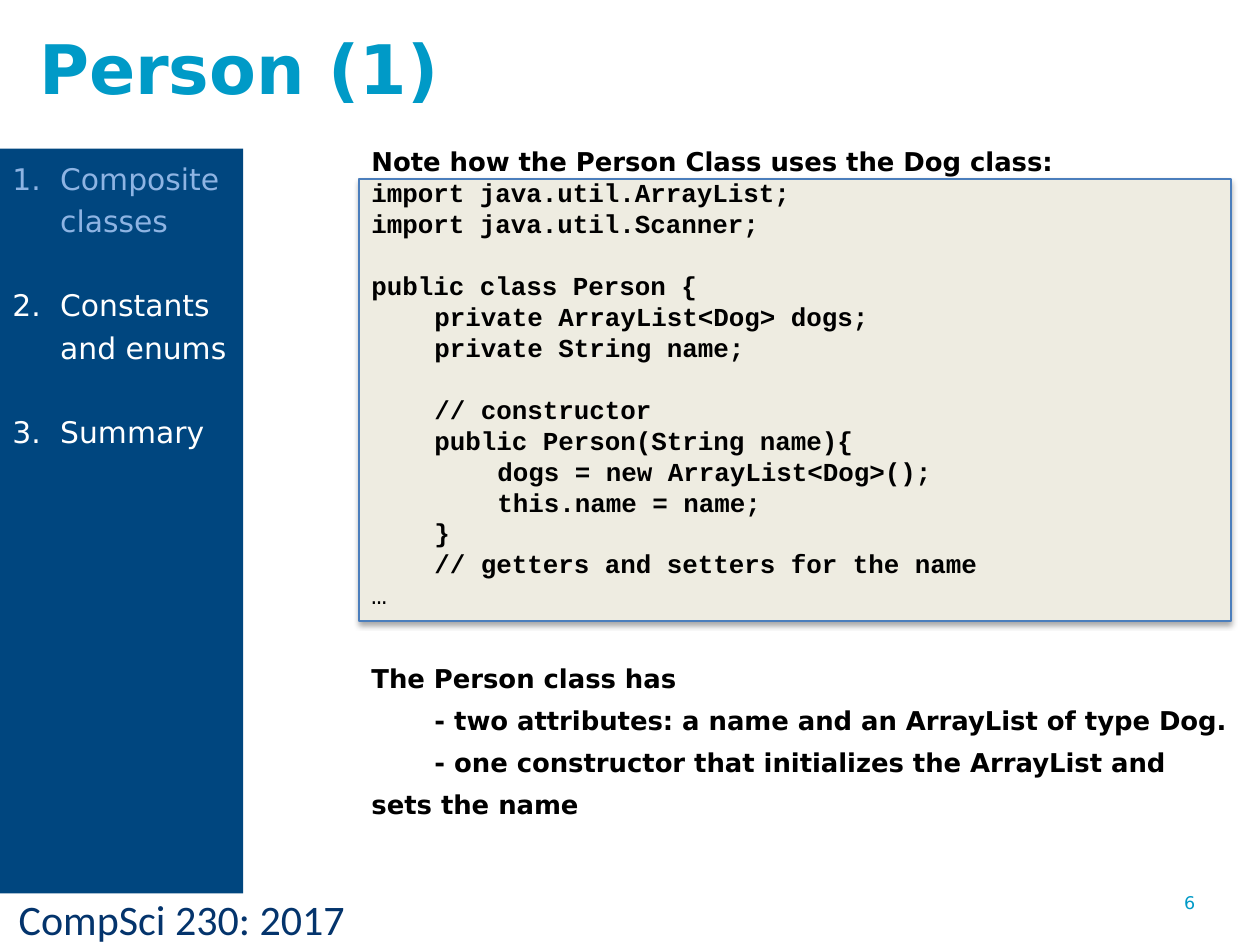
from dataclasses import dataclass

import lxml.etree
import pptx
import pptx.dml.color
import pptx.enum.shapes
import pptx.enum.text
import pptx.oxml
import pptx.oxml.ns
import pptx.util

RGBColor = pptx.dml.color.RGBColor
CYAN = RGBColor(0x00, 0x9A, 0xC7)
NAVY = RGBColor(0x04, 0x34, 0x6C)
SIDEBAR_BLUE = RGBColor(0x00, 0x46, 0x7F)
CURRENT_BLUE = RGBColor(0x8E, 0xB4, 0xE3)
PANEL_FILL = RGBColor(0xEE, 0xEC, 0xE1)
PANEL_LINE = RGBColor(0x4B, 0x7E, 0xBC)
BLACK = RGBColor(0, 0, 0)
WHITE = RGBColor(255, 255, 255)

SANS, MONO = "DejaVu Sans", "Courier New"
CELL = pptx.util.Inches(0.1)  # the slide is a grid of 100 columns by 75 rows
COLUMNS, ROWS = 100, 75
TAB = pptx.util.Inches(0.5)
NUMBER_INDENT = pptx.util.Inches(0.38)
LINE, CODE_LINE = 24, 17.7  # line pitch in points


@dataclass(frozen=True)
class Box:
    """Place on the grid, in columns and rows."""
    col: float
    row: float
    cols: float
    rows: float

    def emu(self) -> list[int]:
        return [round(n * CELL) for n in (self.col, self.row, self.cols, self.rows)]


@dataclass(frozen=True)
class Style:
    size: float
    color: RGBColor
    font: str = SANS
    bold: bool = False


@dataclass(frozen=True)
class Line:
    text: str
    style: Style
    pitch: float | None = None
    gap: float = 0
    margin: int = 0
    indent: int = 0
    numbered: bool = False


PROSE = Style(14.8, BLACK, bold=True)
CODE = Style(14.8, BLACK, MONO, True)
CODE_PLAIN = Style(14.8, BLACK, MONO)


def code(text: str, level: int = 0, gap: float = 0, style: Style = CODE) -> Line:
    return Line(text, style, CODE_LINE, gap, margin=level * TAB)


def prose(text: str, gap: float = 0, indent: int = 0) -> Line:
    return Line(text, PROSE, LINE, gap, indent=indent)


def topic(text: str, color: RGBColor, gap: float = LINE) -> Line:
    return Line(text, Style(17, color), LINE, gap, NUMBER_INDENT, -NUMBER_INDENT, True)


BODY = [
    prose("Note how the Person Class uses the Dog class:"),
    code("import java.util.ArrayList;"),
    code("import java.util.Scanner;"),
    code("public class Person {", gap=CODE_LINE),
    code("private ArrayList<Dog> dogs;", 1),
    code("private String name;", 1),
    code("// constructor", 1, gap=CODE_LINE),
    code("public Person(String name){", 1),
    code("dogs = new ArrayList<Dog>();", 2),
    code("this.name = name;", 2),
    code("}", 1),
    code("// getters and setters for the name", 1),
    code("…", style=CODE_PLAIN),
    prose("The Person class has", gap=LINE),
    prose("- two attributes: a name and an ArrayList of type Dog.", indent=TAB),
    prose("- one constructor that initializes the ArrayList and sets the name", indent=TAB),
]
TOPICS = [
    topic("Composite classes", CURRENT_BLUE, gap=0),
    topic("Constants and enums", WHITE),
    topic("Summary", WHITE),
]


def write(s, lines: list[Line], anchor=pptx.enum.text.MSO_ANCHOR.TOP) -> None:
    tf = s.text_frame
    tf.word_wrap = True
    tf.auto_size = pptx.enum.text.MSO_AUTO_SIZE.NONE
    tf.vertical_anchor = anchor
    for i, line in enumerate(lines):
        p = tf.add_paragraph() if i else tf.paragraphs[0]
        p.alignment = pptx.enum.text.PP_ALIGN.LEFT
        p.space_before = pptx.util.Pt(line.gap)
        if line.pitch:
            p.line_spacing = pptx.util.Pt(line.pitch)
        pPr = p._p.get_or_add_pPr()
        pPr.set("marL", str(line.margin))
        pPr.set("indent", str(line.indent))
        if line.numbered:
            lxml.etree.SubElement(pPr, pptx.oxml.ns.qn("a:buAutoNum"), type="arabicPeriod")
        r = p.add_run()
        r.text = line.text
        r.font.name = line.style.font
        r.font.size = pptx.util.Pt(line.style.size)
        r.font.bold = line.style.bold
        r.font.color.rgb = line.style.color


def add_text(slide, box: Box, lines: list[Line]) -> None:
    write(slide.shapes.add_textbox(*box.emu()), lines)


def add_panel(slide, box: Box, fill: RGBColor, line: RGBColor | None = None):
    s = slide.shapes.add_shape(pptx.enum.shapes.MSO_SHAPE.RECTANGLE, *box.emu())
    s.shadow.inherit = False
    s.fill.solid()
    s.fill.fore_color.rgb = fill
    if line is None:
        s.line.fill.background()
    else:
        s.line.color.rgb = line
        s.line.width = pptx.util.Pt(0.75)
    return s


def add_drop_shadow(s) -> None:
    effects = s._element.spPr.find(pptx.oxml.ns.qn("a:effectLst"))
    effects.append(pptx.oxml.parse_xml(
        f'<a:outerShdw {pptx.oxml.ns.nsdecls("a")} blurRad="{pptx.util.Pt(3.1)}" '
        f'dist="{pptx.util.Pt(1.8)}" dir="5400000" rotWithShape="0">'
        '<a:srgbClr val="000000"><a:alpha val="35000"/></a:srgbClr></a:outerShdw>'))


def main() -> None:
    prs = pptx.Presentation()
    prs.slide_width, prs.slide_height = COLUMNS * CELL, ROWS * CELL
    slide = prs.slides.add_slide(prs.slide_layouts[5])

    title = slide.shapes.title
    title.left, title.top, title.width, title.height = Box(2.1, 1.4, 71.3, 7.8).emu()
    write(title, [Line("Person (1)", Style(39, CYAN, bold=True))],
          pptx.enum.text.MSO_ANCHOR.MIDDLE)

    add_text(slide, Box(0.5, 70.4, 40.5, 5),
             [Line("CompSci 230: 2017", Style(24, NAVY, "Calibri"))])
    add_drop_shadow(add_panel(slide, Box(28.5, 14.2, 69.2, 35.1), PANEL_FILL, PANEL_LINE))
    add_text(slide, Box(93, 70.3, 7, 5.2), [Line("6", Style(10, CYAN))])
    add_text(slide, Box(28.5, 10.2, 70, 62.7), BODY)
    write(add_panel(slide, Box(0, 11.8, 19.3, 59.1), SIDEBAR_BLUE), TOPICS)

    prs.save("out.pptx")


if __name__ == "__main__":
    main()
